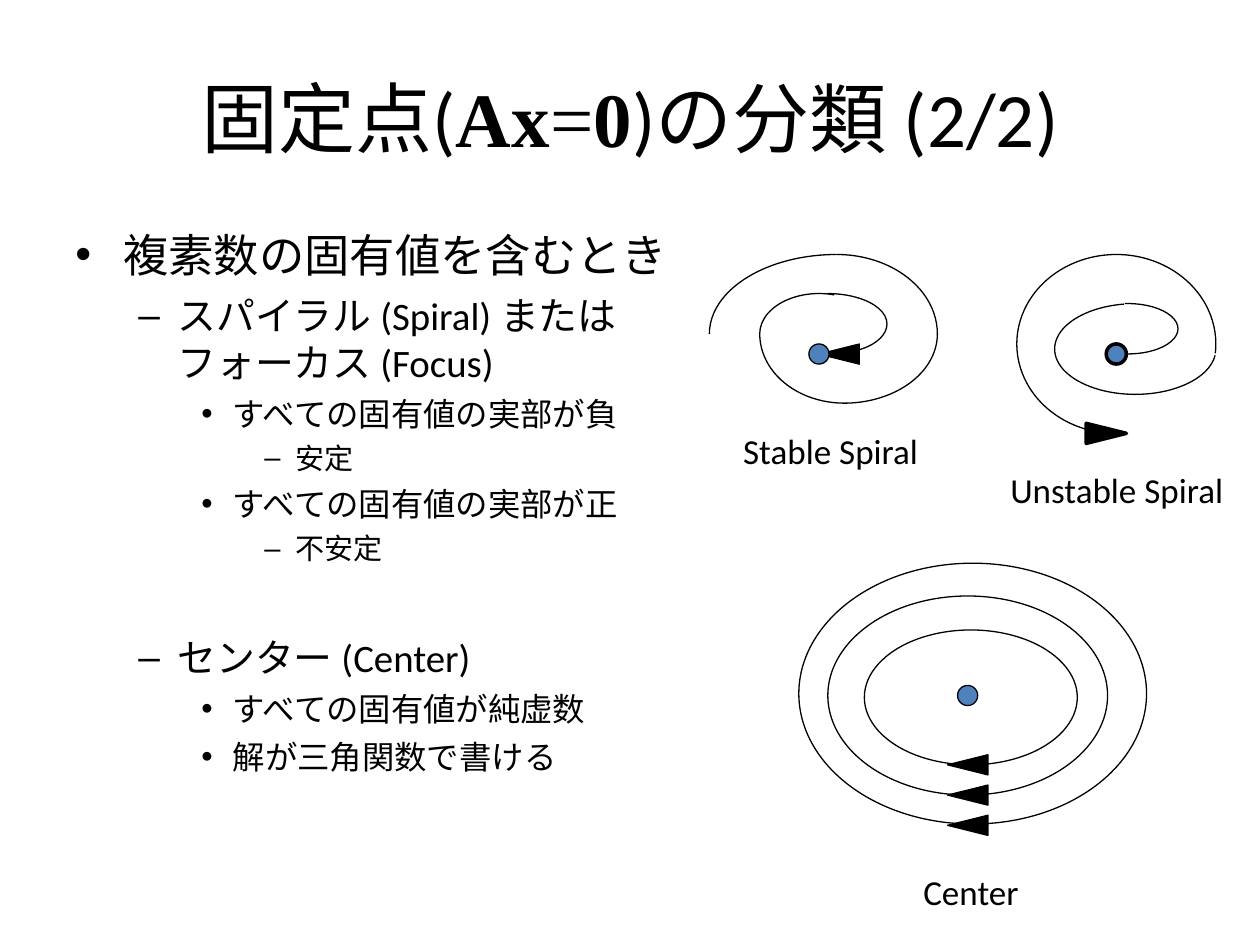
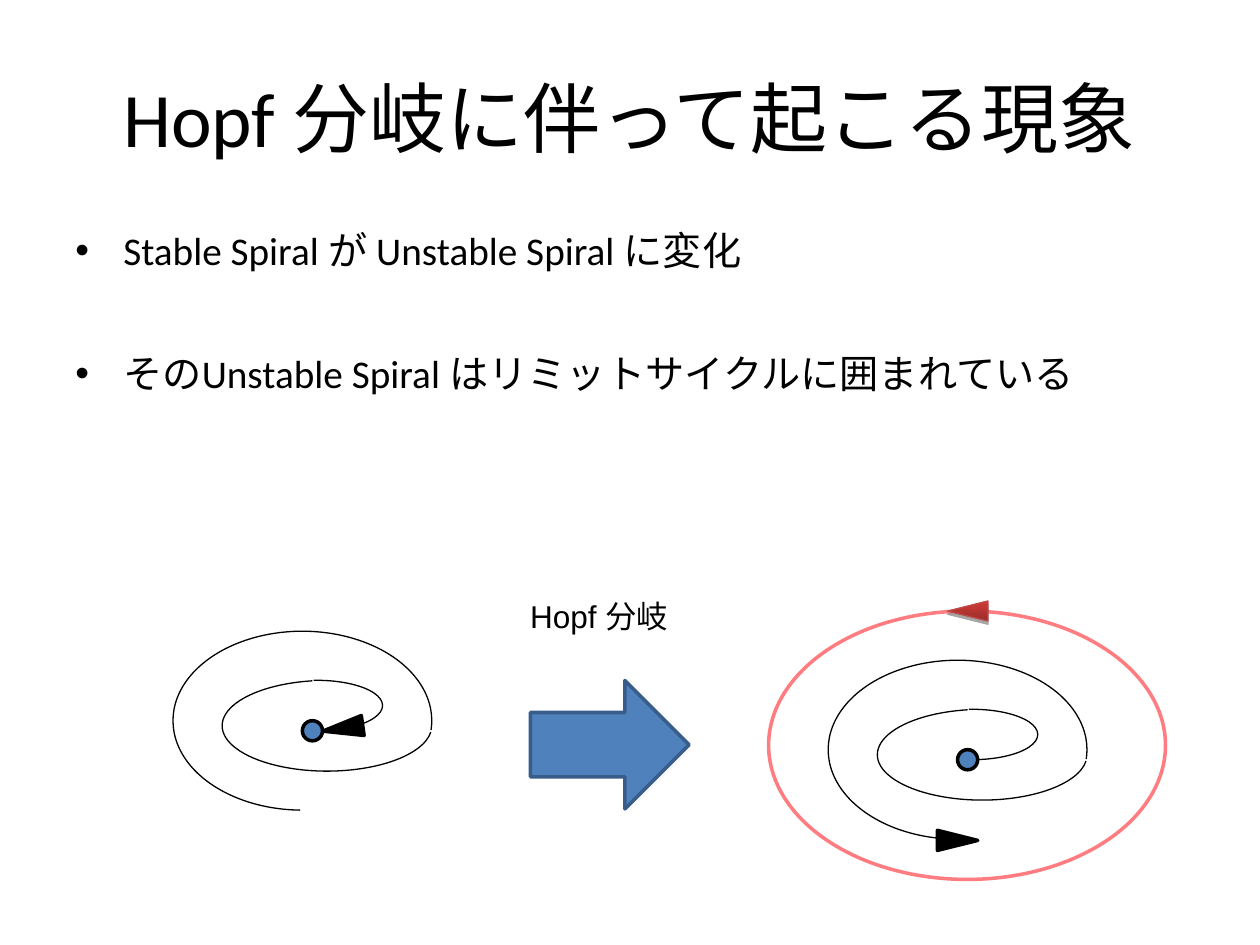
import math

import pptx
import pptx.dml.color
import pptx.enum.shapes
import pptx.enum.text
import pptx.oxml
import pptx.oxml.ns
import pptx.util

PX = 9144  # EMU per px, 100 px to the inch
SHAPES = pptx.enum.shapes.MSO_SHAPE
TEXT = pptx.enum.text

COLORS = {
    "ink": "000000",
    "blue": "4F81BD",
    "blue_edge": "385D8A",
    "cycle": "FF7C80",
    "red_dark": "9B2D2A",
    "red": "CE3B37",
    "red_edge": "BE4B48",
}
THIN, THICK = 0.75, 2

# Per level: bullet, left margin and hanging indent in px
BULLETS = [("•", 38, 38), ("–", 81, 31), ("•", 125, 25), ("–", 175, 25)]


def color(name):
    return pptx.dml.color.RGBColor.from_string(COLORS[name])


class Deck:
    body_font = "Calibri"
    math_font = "Times New Roman"

    def __init__(self):
        self.presentation = pptx.Presentation()
        self.presentation.slide_width = 1000 * PX
        self.presentation.slide_height = 750 * PX
        self.slide = None

    def format_run(self, run, size, font=None, bold=False):
        run.font.size = pptx.util.Pt(size)
        run.font.name = font or self.body_font
        run.font.bold = bold
        run.font.color.rgb = color("ink")

    def add_slide(self, *title_runs):
        """Start a slide; each title run is (text, is_math, bold)."""
        layout = self.presentation.slide_layouts[5]
        self.slide = self.presentation.slides.add_slide(layout)
        title = self.slide.shapes.title
        title.left, title.top = 50 * PX, 30 * PX
        title.width, title.height = 900 * PX, 125 * PX
        title.text_frame.vertical_anchor = TEXT.MSO_ANCHOR.MIDDLE
        paragraph = title.text_frame.paragraphs[0]
        paragraph.alignment = TEXT.PP_ALIGN.CENTER
        for text, is_math, bold in title_runs:
            run = paragraph.add_run()
            run.text = text
            self.format_run(run, 44, self.math_font if is_math else None, bold)

    def text_box(self, left, top, width, height):
        box = self.slide.shapes.add_textbox(left * PX, top * PX, width * PX, height * PX)
        return box.text_frame

    def label(self, text, left, top, width, height=44, size=20, font=None):
        frame = self.text_box(left, top, width, height)
        frame.word_wrap = False
        frame.auto_size = TEXT.MSO_AUTO_SIZE.SHAPE_TO_FIT_TEXT
        frame.text = text
        self.format_run(frame.paragraphs[0].runs[0], size, font)

    def bullet_list(self, left, top, width, height, sizes, items):
        """Each item is (level, text, space before in points)."""
        frame = self.text_box(left, top, width, height)
        frame.word_wrap = True
        frame.text = "\n".join(text for _, text, _ in items)
        for paragraph, (level, _, space) in zip(frame.paragraphs, items):
            self.set_bullet(paragraph, level)
            paragraph.space_before = pptx.util.Pt(space)
            self.format_run(paragraph.runs[0], sizes[level])

    def set_bullet(self, paragraph, level):
        character, margin, hanging = BULLETS[level]
        paragraph.level = level
        properties = paragraph._p.get_or_add_pPr()
        properties.set("marL", str(margin * PX))
        properties.set("indent", str(-hanging * PX))
        namespace = pptx.oxml.ns.nsdecls("a")
        for xml in (
            f'<a:buClr {namespace}><a:srgbClr val="{COLORS["ink"]}"/></a:buClr>',
            f'<a:buFont {namespace} typeface="Arial"/>',
            f'<a:buChar {namespace} char="{character}"/>',
        ):
            properties.append(pptx.oxml.parse_xml(xml))

    def shape(self, kind, left, top, width, height, fill=None, line="ink", weight=THIN):
        shape = self.slide.shapes.add_shape(
            kind, round(left * PX), round(top * PX), round(width * PX), round(height * PX))
        shape.shadow.inherit = False
        if fill:
            shape.fill.solid()
            shape.fill.fore_color.rgb = color(fill)
        else:
            shape.fill.background()
        shape.line.color.rgb = color(line)
        shape.line.width = pptx.util.Pt(weight)
        return shape

    def arrowhead(self, left, top, rotation, weight=THIN):
        head = self.shape(SHAPES.ISOSCELES_TRIANGLE, left, top, 16, 32, "ink", weight=weight)
        head.rotation = rotation
        return head

    def cycle_arrowhead(self, left, top):
        """Red gradient arrowhead with a soft shadow, pointing left."""
        head = self.arrowhead(left, top, 270)
        head._element.spPr.find(pptx.oxml.ns.qn("a:xfrm")).set("flipH", "1")
        head.fill.gradient()
        head.fill.gradient_angle = 180
        for stop, name, position in zip(head.fill.gradient_stops, ("red_dark", "red"), (0, 1)):
            stop.color.rgb = color(name)
            stop.position = position
        head.line.color.rgb = color("red_edge")
        effects = head._element.spPr.find(pptx.oxml.ns.qn("a:effectLst"))
        effects.append(pptx.oxml.parse_xml(
            f'<a:outerShdw {pptx.oxml.ns.nsdecls("a")} blurRad="0" dist="23000" dir="5400000"'
            ' rotWithShape="0"><a:srgbClr val="000000"><a:alpha val="35000"/></a:srgbClr>'
            '</a:outerShdw>'))

    def fixed_point(self, left, top, weight=THICK):
        self.shape(SHAPES.OVAL, left, top, 16, 16, "blue", weight=weight)

    def arc(self, x, y, radius_x, radius_y, start, end):
        """Elliptic arc round (x, y); parametric degrees, clockwise from the right."""
        arc = self.shape(SHAPES.ARC, x - radius_x, y - radius_y, 2 * radius_x, 2 * radius_y)
        for index, degrees in enumerate((start, end)):
            angle = math.radians(degrees)
            seen = math.atan2(radius_y * math.sin(angle), radius_x * math.cos(angle))
            # An adjustment of 0.6 is one degree
            arc.adjustments[index] = round(math.degrees(seen) % 360, 1) * 0.6

    def spiral(self, x, y, stretch=1.0):
        """Three joined arcs round (x, y), stretched sideways."""
        for shift_x, shift_y, radius_x, radius_y, start, end in (
            (0, 0, 79, 71, 91, 366),
            (9, -12, 40, 20, 267, 452),
            (15, 4, 64, 36, 8, 262),
        ):
            self.arc(x + shift_x * stretch, y + shift_y,
                     radius_x * stretch, radius_y, start, end)


def classification_slide(deck):
    deck.add_slide(("固定点(", False, False), ("Ax", True, True), ("=", True, False),
                   ("0", True, True), (")の分類 (2/2)", False, False))
    deck.bullet_list(50, 175, 513, 495, (25.9, 22.2, 18.5, 16.6), [
        (0, "複素数の固有値を含むとき", 0),
        (1, "スパイラル (Spiral) または フォーカス (Focus)", 6),
        (2, "すべての固有値の実部が負", 5),
        (3, "安定", 4.5),
        (2, "すべての固有値の実部が正", 5),
        (3, "不安定", 4.5),
        (1, "センター (Center)", 39),
        (2, "すべての固有値が純虚数", 5),
        (2, "解が三角関数で書ける", 5),
    ])

    for orbit in ((634, 447, 276, 207), (657, 473, 222, 158), (686, 500, 169, 107)):
        deck.shape(SHAPES.OVAL, *orbit)
    for top in (591, 615, 639):
        deck.arrowhead(760, top, 270)
    deck.fixed_point(760, 544, THIN)
    deck.label("Center", 723, 686, 96)

    for stable_arc in (
        (664, 265, 101, 63, 180, 270),
        (664, 265, 80, 63, 270, 360),
        (670, 265, 74, 55, 0, 90),
        (670, 265, 67, 55, 90, 180),
        (650, 265, 47, 32, 180, 285),
        (657, 257, 47, 24, 270, 360),
        (664, 257, 40, 23, 0, 101),
    ):
        deck.arc(*stable_arc)
    deck.arrowhead(658, 265, 270)
    deck.fixed_point(642, 273, THIN)
    deck.label("Stable Spiral", 580, 336, 160)

    deck.spiral(886, 273)
    deck.fixed_point(878, 273)
    deck.arrowhead(870, 328, 90, THICK)
    deck.label("Unstable Spiral", 792, 367, 190)


def hopf_slide(deck):
    deck.add_slide(("Hopf 分岐に伴って起こる現象", False, False))
    deck.bullet_list(50, 175, 875, 200, (22.4,), [
        (0, "Stable Spiral が Unstable Spiral に変化", 0),
        (0, "そのUnstable Spiral はリミットサイクルに囲まれている", 43),
    ])
    deck.shape(SHAPES.RIGHT_ARROW, 421, 540, 126, 102, "blue", "blue_edge", THICK)
    deck.label("Hopf 分岐", 411, 469, 136, 40, 18, "Arial")

    deck.shape(SHAPES.OVAL, 610, 485, 315, 213, line="cycle", weight=THICK)
    deck.cycle_arrowhead(760, 469)
    for x, y in ((760, 595), (240, 572)):
        deck.spiral(x, y, 1.3)
        deck.fixed_point(x, y)
    deck.arrowhead(752, 651, 90, THICK)
    deck.arrowhead(264, 562, 262, THICK)


def main():
    deck = Deck()
    classification_slide(deck)
    hopf_slide(deck)
    deck.presentation.save("out.pptx")


if __name__ == "__main__":
    main()
